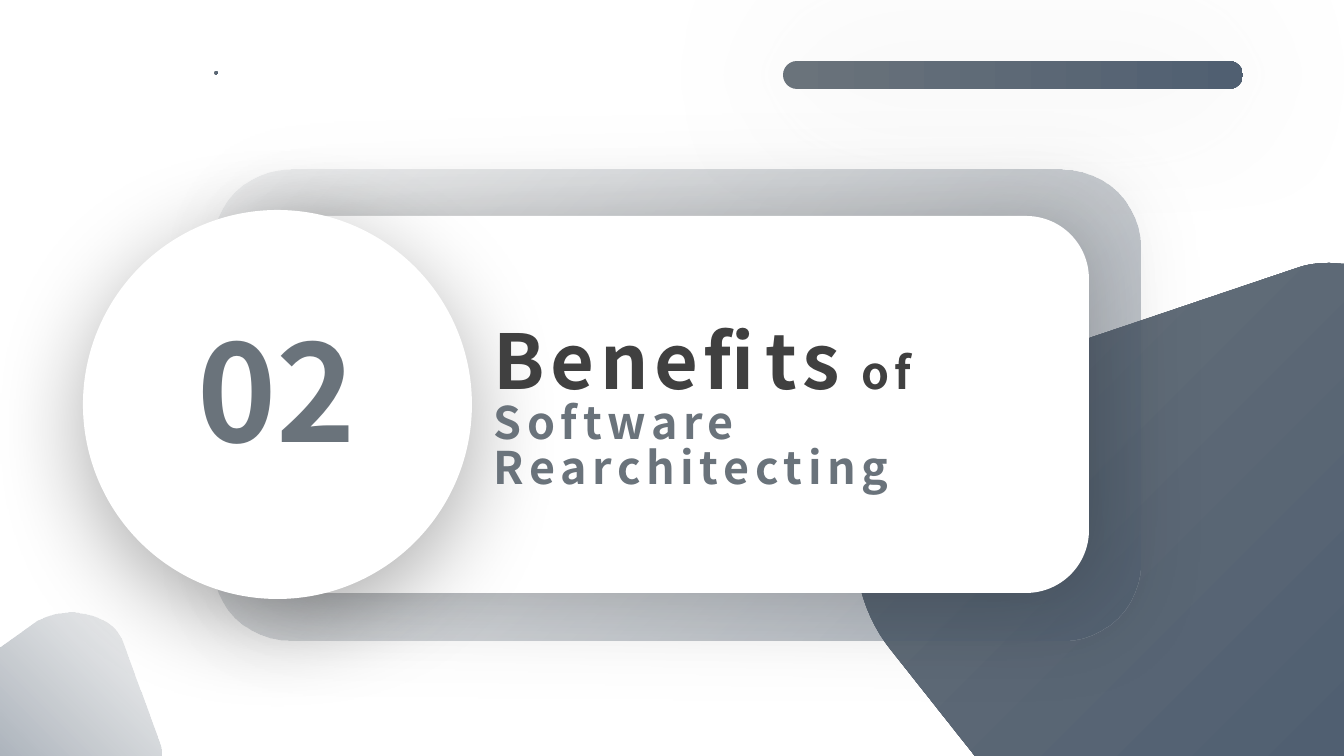
from dataclasses import dataclass

import lxml.etree
import pptx
import pptx.dml.color
import pptx.enum.shapes
import pptx.enum.text
import pptx.oxml.ns
import pptx.util

RGB = pptx.dml.color.RGBColor
KIND = pptx.enum.shapes.MSO_SHAPE
ALIGN = pptx.enum.text.PP_ALIGN
qn = pptx.oxml.ns.qn

PX = 914400 / 100.8
FONT = "Noto Sans CJK SC"
SLATE = RGB(0x6A, 0x73, 0x7B)
NAVY = RGB(0x50, 0x5F, 0x71)
DARK = RGB(0x40, 0x40, 0x40)
WHITE = RGB(0xFF, 0xFF, 0xFF)
BLACK = RGB(0, 0, 0)
GREY = RGB(0xBF, 0xBF, 0xBF)


@dataclass(frozen=True)
class Fade:
    """Slate to navy, turned clockwise, with the opacity of both ends in percent."""
    angle: int
    start: int = 100
    end: int = 100


@dataclass(frozen=True)
class Shade:
    color: RGB
    alpha: int
    blur: int
    drop: int = 0
    angle: int = 0


@dataclass(frozen=True)
class Panel:
    kind: KIND
    box: tuple[int, int, int, int]
    fill: RGB | Fade
    shade: Shade
    round: float | None = None


@dataclass(frozen=True)
class Blob:
    """An outline of line ends (x, y) and cubic curves (x1, y1, x2, y2, x, y)."""
    steps: list[tuple[int, ...]]
    fill: Fade


@dataclass(frozen=True)
class Run:
    text: str
    size: int
    color: RGB


def px(count: int) -> int:
    return round(count * PX)


def set_alpha(color, percent: int) -> None:
    lxml.etree.SubElement(color, qn("a:alpha")).set("val", str(percent * 1000))


def paint(shape, fill: RGB | Fade) -> None:
    shape.shadow.inherit = False
    shape.line.fill.background()
    if isinstance(fill, RGB):
        shape.fill.solid()
        shape.fill.fore_color.rgb = fill
        return
    shape.fill.gradient()
    shape.fill.gradient_angle = -fill.angle % 360
    for stop, color in zip(shape.fill.gradient_stops, (SLATE, NAVY)):
        stop.color.rgb = color
    ends = shape.element.spPr.find(qn("a:gradFill")).iter(qn("a:srgbClr"))
    for end, alpha in zip(list(ends), (fill.start, fill.end)):
        if alpha < 100:
            set_alpha(end, alpha)


def cast(shape, shade: Shade) -> None:
    """Give the shape a soft outer shadow."""
    effects = shape.element.spPr.find(qn("a:effectLst"))
    outer = lxml.etree.SubElement(effects, qn("a:outerShdw"))
    outer.set("blurRad", str(pptx.util.Pt(shade.blur)))
    outer.set("dist", str(pptx.util.Pt(shade.drop)))
    outer.set("dir", str(shade.angle * 60000))
    outer.set("algn", "ctr")
    outer.set("rotWithShape", "0")
    color = lxml.etree.SubElement(outer, qn("a:srgbClr"))
    color.set("val", str(shade.color))
    set_alpha(color, shade.alpha)


def add_panel(slide, panel: Panel) -> None:
    shape = slide.shapes.add_shape(panel.kind, *map(px, panel.box))
    if panel.round is not None:
        shape.adjustments[0] = panel.round
    paint(shape, panel.fill)
    cast(shape, panel.shade)


def trace(steps: list[tuple[int, ...]], parts: int = 16) -> list[tuple[float, float]]:
    """Turn the steps of an outline into points, with curves cut into short lines."""
    points = []
    for step in steps:
        if len(step) == 2:
            points.append(step)
            continue
        knots = [points[-1], step[:2], step[2:4], step[4:]]
        for part in range(1, parts + 1):
            t = part / parts
            parts_of = ((1 - t) ** 3, 3 * t * (1 - t) ** 2, 3 * t * t * (1 - t), t ** 3)
            points.append(tuple(
                sum(share * knot[axis] for share, knot in zip(parts_of, knots))
                for axis in (0, 1)))
    return points


def add_blob(slide, blob: Blob) -> None:
    first, *rest = [(px(x), px(y)) for x, y in trace(blob.steps)]
    pen = slide.shapes.build_freeform(*first)
    pen.add_line_segments(rest, close=True)
    paint(pen.convert_to_shape(), blob.fill)


def add_text(slide, box: tuple[int, int, int, int], lines: list[list[Run]], *,
             align: ALIGN = ALIGN.LEFT, top: int = 5, gap: int = 0,
             wrap: bool = True) -> None:
    """Add bold text; top is the upper inset in px, gap the letter spacing in pt."""
    frame = slide.shapes.add_textbox(*map(px, box)).text_frame
    frame.word_wrap = wrap
    frame.margin_left = frame.margin_right = frame.margin_bottom = px(5)
    frame.margin_top = px(top)
    for index, runs in enumerate(lines):
        line = frame.add_paragraph() if index else frame.paragraphs[0]
        line.alignment = align
        line.line_spacing = 0.83
        for item in runs:
            run = line.add_run()
            run.text = item.text
            run.font.name = FONT
            run.font.size = pptx.util.Pt(item.size)
            run.font.bold = True
            run.font.color.rgb = item.color
            if gap:
                run.font._element.set("spc", str(gap * 100))


GLOW = Shade(BLACK, 18, 56)
PARTS = [
    Blob([(1330, 263), (1344, 264), (1344, 756), (975, 756), (891, 650),
          (859, 611, 847, 552, 858, 498), (870, 444, 903, 401, 947, 386),
          (1297, 268), (1308, 264, 1319, 263, 1330, 263)], Fade(45)),
    Panel(KIND.ROUNDED_RECTANGLE, (213, 170, 927, 471), Fade(45, 9, 47), GLOW),
    Panel(KIND.ROUNDED_RECTANGLE, (237, 216, 852, 377), WHITE, GLOW),
    Blob([(161, 752), (161, 756), (0, 756), (0, 647), (34, 623),
          (47, 614, 67, 610, 85, 614), (102, 617, 116, 627, 121, 639),
          (159, 742), (160, 745, 161, 749, 161, 752)], Fade(135, 9, 47)),
    Panel(KIND.OVAL, (83, 210, 389, 389), WHITE, Shade(BLACK, 32, 69, 17, 90)),
    Panel(KIND.ROUNDED_RECTANGLE, (783, 61, 460, 28), Fade(0),
          Shade(GREY, 40, 100), 0.5),
    Blob([(218, 72), (217, 72), (217, 71), (215, 71), (215, 72), (214, 72),
          (214, 74), (215, 74), (215, 75), (217, 75), (217, 74), (218, 74)], Fade(0)),
]


def main() -> None:
    deck = pptx.Presentation()
    deck.slide_width, deck.slide_height = px(1344), px(756)
    slide = deck.slides.add_slide(deck.slide_layouts[6])
    for part in PARTS:
        if isinstance(part, Panel):
            add_panel(slide, part)
        else:
            add_blob(slide, part)
    add_text(slide, (192, 319, 170, 173), [[Run("02", 96, SLATE)]],
             align=ALIGN.CENTER, top=16, wrap=False)
    add_text(slide, (489, 319, 589, 156),
             [[Run("Benefits", 54, DARK), Run(" of", 32, DARK)],
              [Run("Software Rearchitecting", 32, SLATE)]], top=10, gap=4)
    deck.save("out.pptx")


if __name__ == "__main__":
    main()
